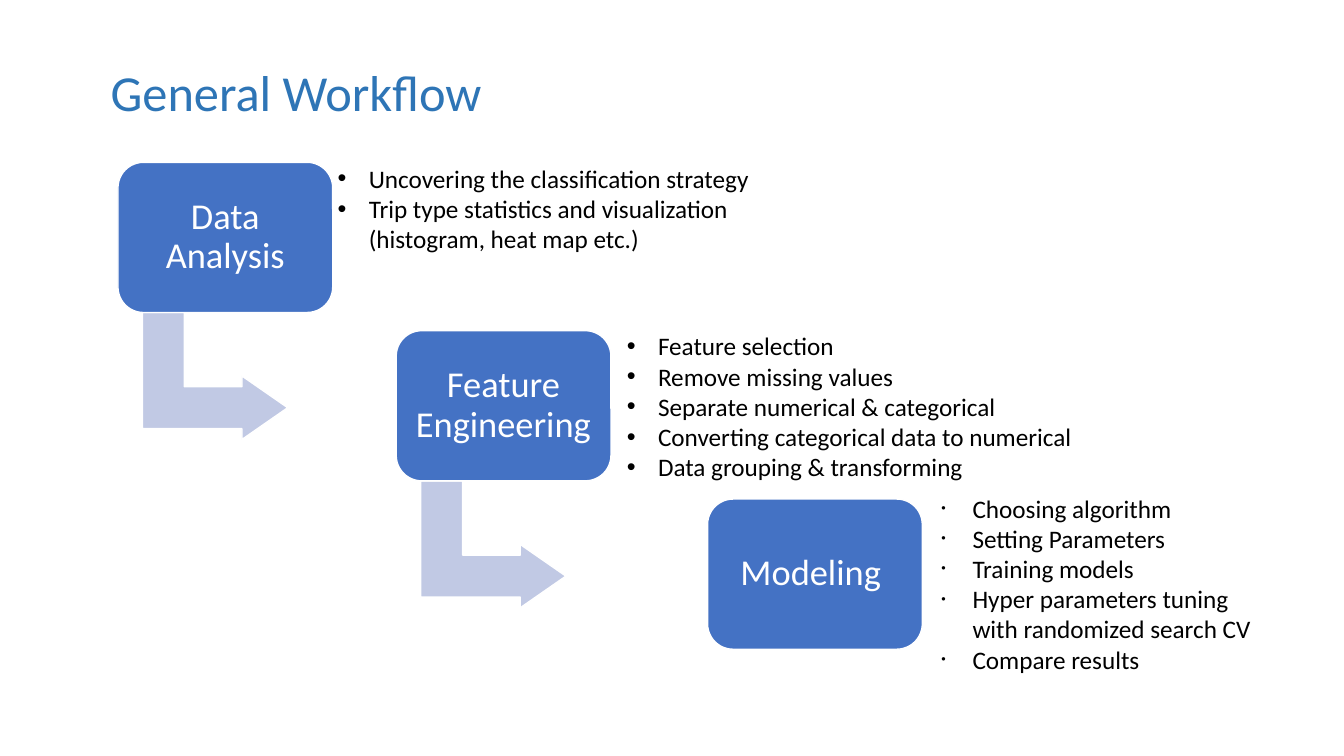
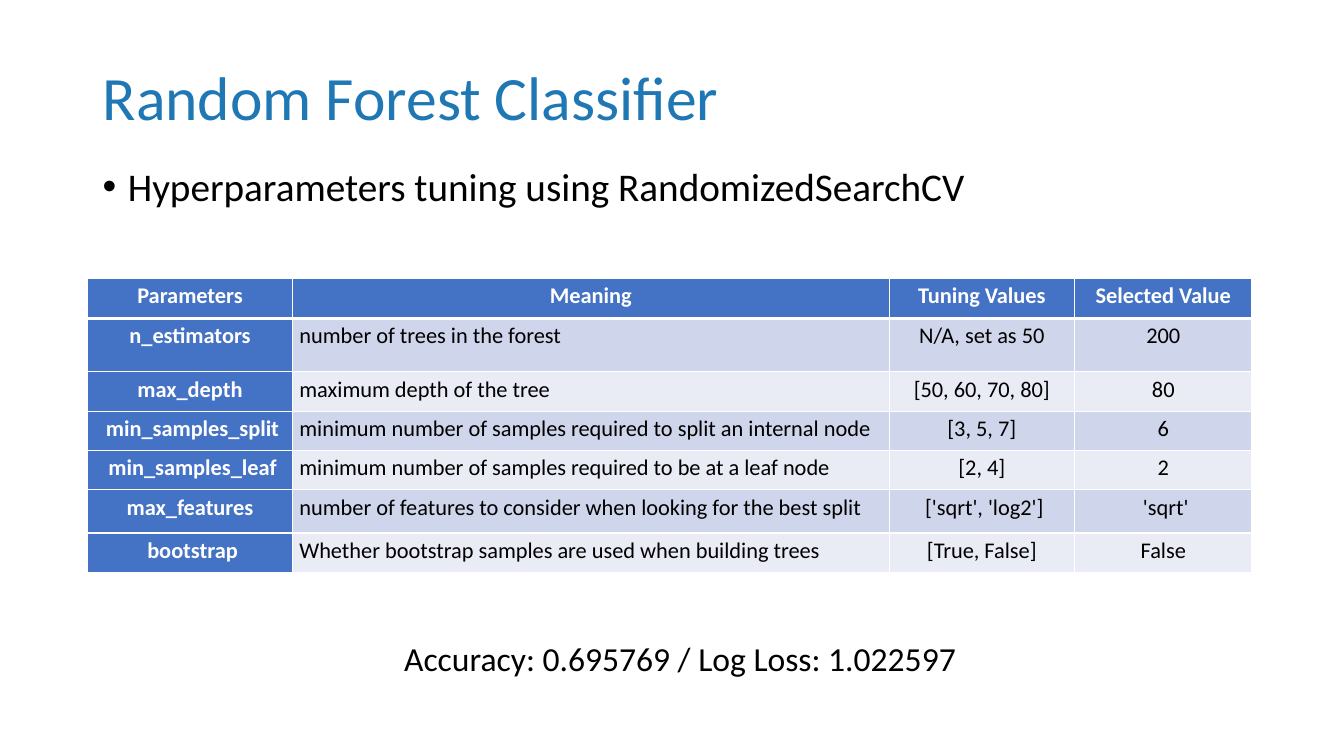
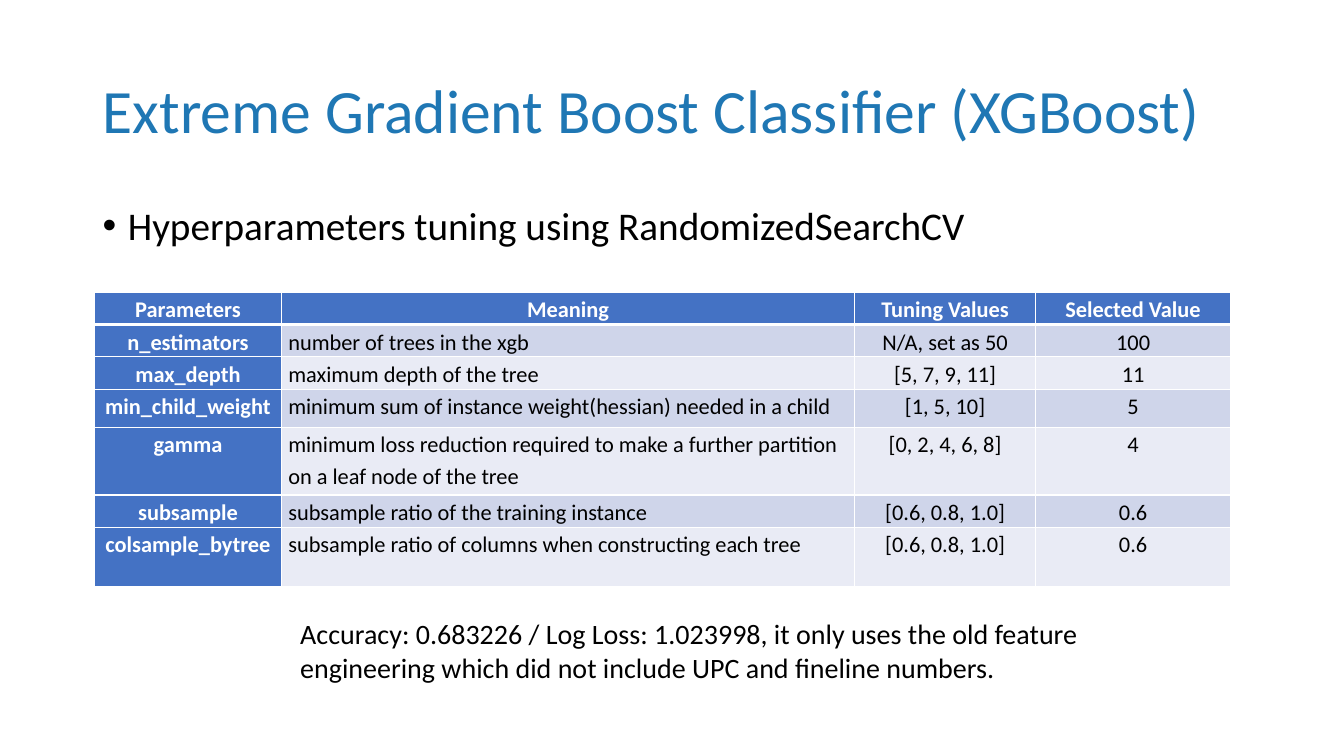
from dataclasses import dataclass
from typing import Any

from lxml import etree
from pptx import Presentation, util as u
from pptx.dml.color import RGBColor
from pptx.enum import shapes, text
from pptx.oxml import ns

WHITE = RGBColor(0xFF, 0xFF, 0xFF)
BLACK = RGBColor(0x00, 0x00, 0x00)
BLUE = RGBColor(0x44, 0x72, 0xC4)
ARROW_BLUE = RGBColor(0xC1, 0xC9, 0xE4)
WORKFLOW_BLUE = RGBColor(0x2E, 0x75, 0xB6)
TITLE_BLUE = RGBColor(0x1F, 0x77, 0xB4)
BANDS = (RGBColor(0xCF, 0xD5, 0xEA), RGBColor(0xE9, 0xEB, 0xF5))

FONT = "Calibri"
WIDTH, HEIGHT = u.Inches(13.333), u.Inches(7.5)
LEFT, CENTER = text.PP_ALIGN.LEFT, text.PP_ALIGN.CENTER
TOP, MIDDLE = text.MSO_ANCHOR.TOP, text.MSO_ANCHOR.MIDDLE


def across(percent: float) -> int:
    """Share of the slide width."""
    return round(WIDTH * percent / 100)


def down(percent: float) -> int:
    """Share of the slide height."""
    return round(HEIGHT * percent / 100)


@dataclass(frozen=True)
class Area:
    """Place on the slide, in percent of its width and height."""
    left: float
    top: float
    width: float
    height: float

    def lengths(self) -> tuple[int, int, int, int]:
        return across(self.left), down(self.top), across(self.width), down(self.height)


@dataclass(frozen=True)
class Style:
    size: float
    color: RGBColor = BLACK
    bold: bool = False
    align: Any = LEFT
    anchor: Any = TOP
    spacing: float = 1.0
    before: float = 0
    indent: float = 0
    bullet_size: int = 100


@dataclass(frozen=True)
class Stage:
    name: str
    left: float
    tasks_area: Area
    tasks: list[str]
    bullet_size: int = 100


@dataclass(frozen=True)
class ModelPage:
    title: str
    title_area: Area
    subtitle_area: Area
    table_left: float
    table_top: float
    columns: list[float]
    rows: list[float]
    records: list[tuple[str, str, str, str]]
    verdict: str
    verdict_area: Area
    verdict_size: float


WORKFLOW_TITLE = Style(36, WORKFLOW_BLUE)
TITLE = Style(44, TITLE_BLUE, anchor=MIDDLE, spacing=0.9)
SUBTITLE = Style(28, spacing=0.9, before=10, indent=0.25)
STAGE_NAME = Style(26, WHITE, align=CENTER, anchor=MIDDLE, spacing=0.9)
LABEL = Style(16, WHITE, bold=True, align=CENTER, spacing=1.15)
MEANING = Style(16, spacing=1.15)
VALUE = Style(16, align=CENTER, spacing=1.15)

HEADER = ("Parameters", "Meaning", "Tuning Values", "Selected Value")
SUBTITLE_TEXT = "Hyperparameters tuning using RandomizedSearchCV"

STAGE_TOP, STAGE_STEP = 21.47, 22.27
STAGE_WIDTH, STAGE_HEIGHT = 15.98, 19.87
ARROW_SHIFT, ARROW_DROP = 2.5, 18.67
ARROW_WIDTH, ARROW_HEIGHT = 9.45, 19.2

STAGES = [
    Stage("Data Analysis", 8.78, Area(24.38, 20.93, 33.15, 13.47), [
        "Uncovering the classification strategy",
        "Trip type statistics and visualization (histogram, heat map etc.)",
    ]),
    Stage("Feature Engineering", 29.48, Area(45.9, 43.07, 35.1, 21.6), [
        "Feature selection",
        "Remove missing values",
        "Separate numerical & categorical",
        "Converting categorical data to numerical",
        "Data grouping & transforming",
    ]),
    Stage("Modeling ", 52.65, Area(69.3, 64.53, 26.63, 25.6), [
        "Choosing algorithm",
        "Setting Parameters",
        "Training models",
        "Hyper parameters tuning with randomized search CV",
        "Compare results",
    ], bullet_size=50),
]

MODEL_PAGES = [
    ModelPage(
        "Random Forest Classifier",
        Area(6.9, 4.67, 86.25, 17.2), Area(6.9, 21.47, 86.25, 71.87),
        6.53, 36.8,
        [15.23, 44.4, 13.8, 13.2],
        [5.33, 7.07, 5.2, 5.2, 5.2, 5.73, 5.2],
        [
            ("n_estimators", "number of trees in the forest", "N/A, set as 50", "200"),
            ("max_depth", "maximum depth of the tree", "[50, 60, 70, 80]", "80"),
            (" min_samples_split",
             "minimum number of samples required to split an internal node",
             "[3, 5, 7]", "6"),
            (" min_samples_leaf",
             "minimum number of samples required to be at a leaf node", "[2, 4]", "2"),
            ("max_features",
             "number of features to consider when looking for the best split",
             " ['sqrt', 'log2']", " 'sqrt'"),
            (" bootstrap", "Whether bootstrap samples are used when building trees",
             "[True, False]", "False"),
        ],
        "Accuracy: 0.695769 / Log Loss: 1.022597",
        Area(29.33, 83.73, 42.68, 6.67), 24,
    ),
    ModelPage(
        "Extreme Gradient Boost Classifier (XGBoost)",
        Area(6.9, 5.33, 86.25, 19.33), Area(6.9, 26.67, 86.25, 63.47),
        7.05, 38.67,
        [13.88, 42.68, 13.43, 14.55],
        [4.27, 4.27, 4.27, 5.07, 8.93, 4.27, 7.87],
        [
            ("n_estimators", "number of trees in the xgb", "N/A, set as 50", "100"),
            ("max_depth", "maximum depth of the tree", "[5, 7, 9, 11]", "11"),
            ("min_child_weight",
             "minimum sum of instance weight(hessian) needed in a child",
             "[1, 5, 10]", "5"),
            ("gamma",
             "minimum loss reduction required to make a further partition "
             "on a leaf node of the tree",
             "[0, 2, 4, 6, 8]", "4"),
            ("subsample", "subsample ratio of the training instance",
             "[0.6, 0.8, 1.0]", "0.6"),
            ("colsample_bytree", "subsample ratio of columns when constructing each tree",
             "[0.6, 0.8, 1.0]", "0.6"),
        ],
        "Accuracy: 0.683226 / Log Loss: 1.023998, it only uses the old feature "
        "engineering which did not include UPC and fineline numbers.",
        Area(21.6, 80.93, 60.45, 10.27), 20,
    ),
]


def apply(target: Any, values: dict[str, Any]) -> None:
    for name, value in values.items():
        setattr(target, name, value)


def add_bullet(para: Any, style: Style) -> None:
    props = para._p.get_or_add_pPr()
    indent = u.Inches(style.indent)
    props.set("marL", str(indent))
    props.set("indent", str(-indent))
    for tag, key, value in (
        ("a:buSzPct", "val", str(style.bullet_size * 1000)),
        ("a:buFont", "typeface", "Arial"),
        ("a:buChar", "char", "•"),
    ):
        etree.SubElement(props, ns.qn(tag)).set(key, value)


def write(frame: Any, lines: list[str], style: Style) -> None:
    apply(frame, {"word_wrap": True, "vertical_anchor": style.anchor})
    for index, line in enumerate(lines):
        para = frame.add_paragraph() if index else frame.paragraphs[0]
        apply(para, {"alignment": style.align, "line_spacing": style.spacing,
                     "space_before": u.Pt(style.before)})
        if style.indent:
            add_bullet(para, style)
        span = para.add_run()
        span.text = line
        apply(span.font, {"name": FONT, "size": u.Pt(style.size), "bold": style.bold})
        span.font.color.rgb = style.color


def add_text(page: Any, area: Area, lines: list[str], style: Style) -> None:
    write(page.shapes.add_textbox(*area.lengths()).text_frame, lines, style)


def add_block(page: Any, kind: Any, area: Area, fill: RGBColor,
              adjustments: tuple[float, ...]) -> Any:
    """Filled preset shape with a thin white outline."""
    block = page.shapes.add_shape(kind, *area.lengths())
    block.shadow.inherit = False
    block.fill.solid()
    block.fill.fore_color.rgb = fill
    block.line.color.rgb = WHITE
    block.line.width = u.Pt(1)
    for index, value in enumerate(adjustments):
        block.adjustments[index] = value
    return block


def add_stage(page: Any, index: int, stage: Stage) -> None:
    top = STAGE_TOP + index * STAGE_STEP
    if index < len(STAGES) - 1:
        area = Area(stage.left + ARROW_SHIFT, top + ARROW_DROP, ARROW_WIDTH, ARROW_HEIGHT)
        arrow = add_block(page, shapes.MSO_SHAPE.BENT_UP_ARROW, area, ARROW_BLUE,
                          (0.33, 0.25, 0.36))
        arrow.rotation = 90
    box = add_block(page, shapes.MSO_SHAPE.ROUNDED_RECTANGLE,
                    Area(stage.left, top, STAGE_WIDTH, STAGE_HEIGHT), BLUE, (0.17,))
    margin = u.Inches(0.11)
    apply(box.text_frame, {f"margin_{side}": margin
                           for side in ("left", "right", "top", "bottom")})
    write(box.text_frame, [stage.name], STAGE_NAME)
    add_text(page, stage.tasks_area, stage.tasks,
             Style(18, indent=0.31, bullet_size=stage.bullet_size))


def set_borders(cell: Any, row: int) -> None:
    """White borders, thicker under the header row."""
    widths = {"L": 1, "R": 1, "T": 3 if row == 1 else 1, "B": 3 if row == 0 else 1}
    props = cell._tc.get_or_add_tcPr()
    for side, width in widths.items():
        line = etree.SubElement(props, ns.qn(f"a:ln{side}"), w=str(u.Pt(width)))
        fill = etree.SubElement(line, ns.qn("a:solidFill"))
        etree.SubElement(fill, ns.qn("a:srgbClr"), val=str(WHITE))


def add_parameter_table(page: Any, model: ModelPage) -> None:
    area = Area(model.table_left, model.table_top, sum(model.columns), sum(model.rows))
    table = page.shapes.add_table(len(model.rows), len(model.columns),
                                  *area.lengths()).table
    for column, share in zip(table.columns, model.columns):
        column.width = across(share)
    for row, share in zip(table.rows, model.rows):
        row.height = down(share)
    for r, record in enumerate([HEADER, *model.records]):
        for c, entry in enumerate(record):
            cell = table.cell(r, c)
            is_label = r == 0 or c == 0
            set_borders(cell, r)
            cell.fill.solid()
            cell.fill.fore_color.rgb = BLUE if is_label else BANDS[(r - 1) % 2]
            apply(cell, {"margin_left": u.Inches(0.07), "margin_right": u.Inches(0.07),
                         "margin_top": 0, "margin_bottom": 0})
            style = LABEL if is_label else MEANING if c == 1 else VALUE
            write(cell.text_frame, [entry], style)


def add_model(page: Any, model: ModelPage) -> None:
    add_text(page, model.title_area, [model.title], TITLE)
    add_text(page, model.subtitle_area, [SUBTITLE_TEXT], SUBTITLE)
    add_parameter_table(page, model)
    add_text(page, model.verdict_area, [model.verdict], Style(model.verdict_size))


def main() -> None:
    deck = Presentation()
    apply(deck, {"slide_width": WIDTH, "slide_height": HEIGHT})
    blank = deck.slide_layouts[6]

    workflow = deck.slides.add_slide(blank)
    for index, stage in enumerate(STAGES):
        add_stage(workflow, index, stage)
    add_text(workflow, Area(7.5, 7.47, 35.1, 9.47), ["General Workflow"], WORKFLOW_TITLE)

    for model in MODEL_PAGES:
        add_model(deck.slides.add_slide(blank), model)
    deck.save("out.pptx")


if __name__ == "__main__":
    main()
